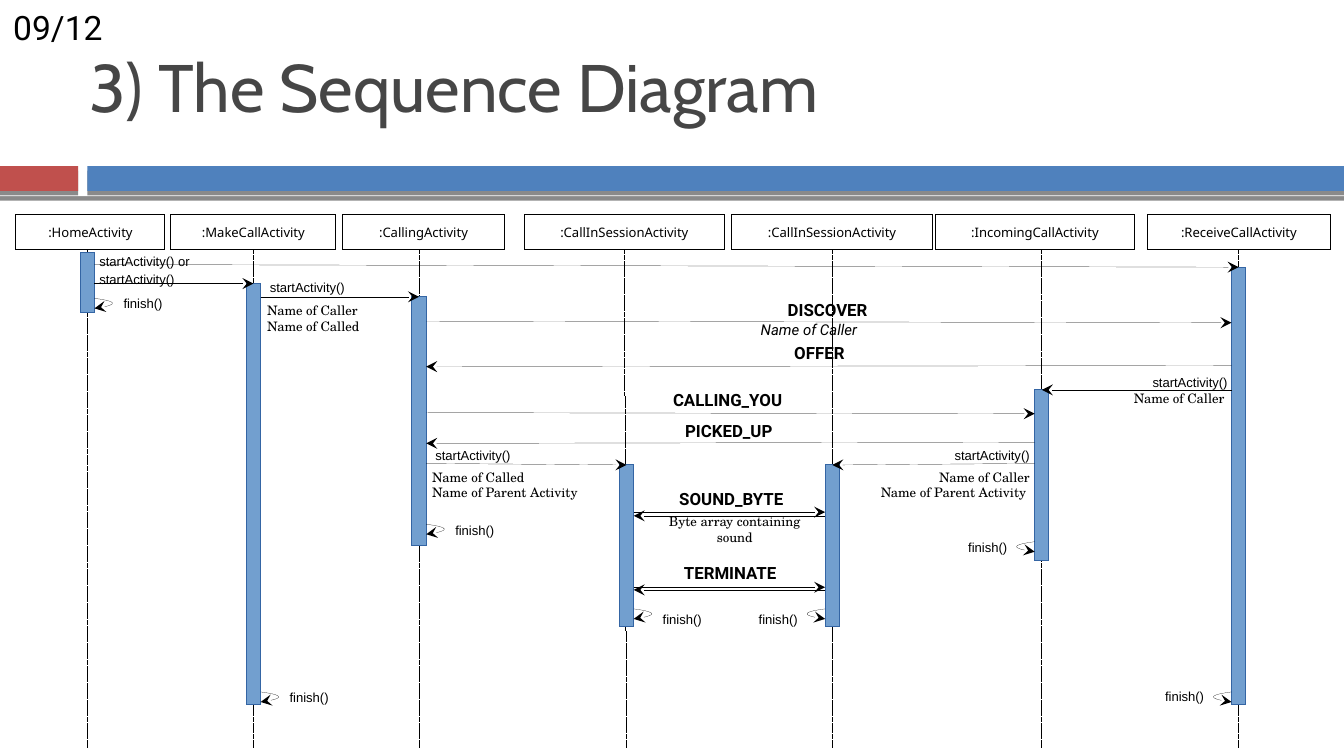
import pptx
import pptx.dml.color
import pptx.enum.dml
import pptx.enum.shapes
import pptx.enum.text
import pptx.oxml
import pptx.oxml.ns
import pptx.util

Cm, Pt = pptx.util.Cm, pptx.util.Pt
RECT = pptx.enum.shapes.MSO_SHAPE.RECTANGLE
ALIGN = pptx.enum.text.PP_ALIGN
ANCHOR = pptx.enum.text.MSO_ANCHOR
AUTO = pptx.enum.text.MSO_AUTO_SIZE

# Lifelines in cm: key, name, header left, header width, axis x, bar top, bar height
HEADER_TOP, HEADER_HEIGHT, LIFELINE_END, BAR_WIDTH = 4.06, 0.66, 14.12, 0.27
LIFELINES = [
    ("home", ":HomeActivity", 0.3, 2.82, 1.65, 4.78, 1.12),
    ("make", ":MakeCallActivity", 3.23, 3.12, 4.79, 5.36, 7.95),
    ("calling", ":CallingActivity", 6.48, 3.05, 7.92, 5.61, 4.7),
    ("caller", ":CallInSessionActivity", 9.91, 3.78, 11.84, 8.79, 3.05),
    ("called", ":CallInSessionActivity", 13.82, 3.81, 15.73, 8.79, 3.05),
    ("incoming", ":IncomingCallActivity", 17.68, 3.76, 19.69, 7.37, 3.23),
    ("receive", ":ReceiveCallActivity", 21.69, 3.45, 23.41, 5.05, 8.26),
]
# Messages that start a bar: sender, receiver, y at the sender
STARTS = [
    ("home", "receive", 5.0), ("home", "make", 5.36), ("make", "calling", 5.61),
    ("receive", "incoming", 7.37), ("calling", "caller", 8.76), ("incoming", "called", 8.76),
]
# Messages between running bars: sender, receiver, y at each end
MESSAGES = [
    ("calling", "receive", 6.07, 6.1), ("receive", "calling", 6.91, 6.93),
    ("calling", "incoming", 7.8, 7.82), ("incoming", "calling", 8.36, 8.38),
    ("caller", "called", 9.68, 9.68), ("called", "caller", 9.75, 9.75),
    ("caller", "called", 11.1, 11.1), ("called", "caller", 11.15, 11.15),
]
# Self calls: bar, side (1 right, -1 left), loop top, label top
SELF_CALLS = [
    ("home", 1, 5.64, 5.46), ("make", 1, 13.08, 12.9), ("calling", 1, 9.91, 9.75),
    ("caller", 1, 11.51, 11.43), ("called", -1, 11.51, 11.43),
    ("incoming", -1, 10.24, 10.08), ("receive", -1, 13.08, 12.88),
]
# Texts: text, left, top, width, alignment
CALL_LABELS = [
    ("startActivity() or", 1.63, 4.67, 3.68, ALIGN.LEFT),
    ("startActivity()", 1.63, 5.0, 3, ALIGN.LEFT),
    ("startActivity()", 4.85, 5.16, 3, ALIGN.LEFT),
    ("startActivity()", 20.45, 6.96, 3, ALIGN.RIGHT),
    ("startActivity()", 7.98, 8.33, 3, ALIGN.LEFT),
    ("startActivity()", 16.71, 8.33, 3, ALIGN.RIGHT),
]
PARAMETERS = [
    ("Name of Caller\nName of Called", 4.8, 5.59, 3.38, ALIGN.LEFT),
    ("Name of Caller", 20.47, 7.26, 2.92, ALIGN.RIGHT),
    ("Name of Called\nName of Parent Activity", 7.92, 8.74, 4.37, ALIGN.LEFT),
    ("Name of Caller\nName of Parent Activity ", 15.34, 8.74, 4.37, ALIGN.RIGHT),
    ("Byte array containing sound", 12.07, 9.58, 3.63, ALIGN.CENTER),
]
SIGNALS = [
    ("DISCOVER", 14.27, 5.54, 2.74, ALIGN.CENTER),
    ("OFFER", 14.48, 6.35, 2.01, ALIGN.CENTER),
    ("CALLING_YOU", 12.47, 7.24, 3.53, ALIGN.LEFT),
    ("PICKED_UP", 12.7, 7.82, 2.95, ALIGN.LEFT),
    ("SOUND_BYTE", 12.5, 9.12, 2.64, ALIGN.CENTER),
    ("TERMINATE", 12.57, 10.52, 2.46, ALIGN.CENTER),
]


def rgb(hex_color):
    return pptx.dml.color.RGBColor.from_string(hex_color)


def write_text(sp, text, *, font, size=7, color="000000", bold=False, italic=False,
               align=ALIGN.LEFT, anchor=ANCHOR.TOP, wrap=True, grow=True, inset=None):
    tf = sp.text_frame
    tf.word_wrap = wrap
    tf.auto_size = AUTO.SHAPE_TO_FIT_TEXT if grow else AUTO.NONE
    tf.vertical_anchor = anchor
    if inset is not None:
        tf.margin_left = tf.margin_top = tf.margin_right = tf.margin_bottom = Cm(inset)
    for i, line in enumerate(text.split("\n")):
        p = tf.paragraphs[0] if i == 0 else tf.add_paragraph()
        p.alignment = align
        r = p.add_run()
        r.text = line
        r.font.name, r.font.size = font, Pt(size)
        r.font.bold, r.font.italic = bold, italic
        r.font.color.rgb = rgb(color)


def add_text(s, text, left, top, width, height, **style):
    sp = s.shapes.add_textbox(Cm(left), Cm(top), Cm(width), Cm(height))
    write_text(sp, text, **style)


def style_line(sp, color="000000", dashed=False, arrow=False):
    sp.line.color.rgb = rgb(color)
    ln = sp.line._get_or_add_ln()
    # Hairline: a zero width must be written out, or the theme's width applies
    ln.set("w", "0")
    if dashed:
        sp.line.dash_style = pptx.enum.dml.MSO_LINE.SQUARE_DOT
        ln.find(pptx.oxml.ns.qn("a:prstDash")).set("val", "sysDash")
    if arrow:
        ln.append(pptx.oxml.parse_xml(
            f'<a:tailEnd {pptx.oxml.ns.nsdecls("a")} type="stealth" w="med" len="med"/>'))


def add_rect(s, left, top, width, height, fill=None, line=None):
    sp = s.shapes.add_shape(RECT, Cm(left), Cm(top), Cm(width), Cm(height))
    sp.shadow.inherit = False
    if fill:
        sp.fill.solid()
        sp.fill.fore_color.rgb = rgb(fill)
    else:
        sp.fill.background()
    if line:
        style_line(sp, line)
    else:
        sp.line.fill.background()
    return sp


def add_band(s, left, top, width, height, fill):
    sp = add_rect(s, left, top, width, height, fill)
    effects = sp._element.spPr.find(pptx.oxml.ns.qn("a:effectLst"))
    effects.append(pptx.oxml.parse_xml(
        f'<a:outerShdw {pptx.oxml.ns.nsdecls("a")} blurRad="0" dist="{Pt(2.4)}" dir="5400000" '
        'rotWithShape="0"><a:srgbClr val="000000"><a:alpha val="45000"/></a:srgbClr></a:outerShdw>'))


def add_line(s, x1, y1, x2, y2, **style):
    cn = s.shapes.add_connector(pptx.enum.shapes.MSO_CONNECTOR.STRAIGHT, x1, y1, x2, y2)
    style_line(cn, **style)
    cn._element.spPr.append(pptx.oxml.parse_xml(f'<a:effectLst {pptx.oxml.ns.nsdecls("a")}/>'))
    return cn


def side_x(bar, side):
    return bar.left + (bar.width if side > 0 else 0)


def facing_x(bar, other):
    return side_x(bar, 1 if other.left > bar.left else -1)


def add_lifeline(s, name, left, width, axis, bar_top, bar_height):
    header = add_rect(s, left, HEADER_TOP, width, HEADER_HEIGHT, line="000000")
    write_text(header, name, font="Noto Sans", align=ALIGN.CENTER, anchor=ANCHOR.MIDDLE)
    cn = add_line(s, Cm(axis), Cm(HEADER_TOP + HEADER_HEIGHT), Cm(axis), Cm(LIFELINE_END), dashed=True)
    if abs(left + width / 2 - axis) < 0.05:
        cn.begin_connect(header, 2)
    return add_rect(s, axis - BAR_WIDTH / 2, bar_top, BAR_WIDTH, bar_height, "729FCF", "3465A4")


def add_self_call(s, bar, side, top, label_top):
    x, y = side_x(bar, side), Cm(top)
    # Curve that leaves the bar and bends back to it
    points = []
    for i in range(1, 17):
        t = i / 16
        bulge = 3 * t * (1 - t) ** 2
        points.append((x + side * Cm(0.77 * bulge), y + Cm(0.1 * bulge + 0.19 * t * t * (3 - 2 * t))))
    builder = s.shapes.build_freeform(x, y)
    builder.add_line_segments(points, close=False)
    loop = builder.convert_to_shape()
    loop.shadow.inherit = False
    loop.fill.background()
    style_line(loop, arrow=True)
    edge, width = x / Cm(1), 1.75
    left = edge + 0.3 if side > 0 else edge - 0.27 - width
    add_text(s, "finish()", left, label_top, width, 0.58, font="Arial",
             align=ALIGN.LEFT if side > 0 else ALIGN.RIGHT)


def main():
    prs = pptx.Presentation()
    prs.slide_width, prs.slide_height = Cm(25.4), Cm(14.29)
    s = prs.slides.add_slide(prs.slide_layouts[6])

    # Title and bands
    add_band(s, 0, 3.05, 25.4, 0.66, "FFFFFF")
    add_band(s, 0, 3.14, 1.48, 0.47, "C0504D")
    add_band(s, 1.65, 3.14, 23.75, 0.47, "4F81BD")
    add_text(s, "3) The Sequence Diagram", 1.7, 0.23, 22.63, 2.79, font="Cabin", size=36,
             color="464646", anchor=ANCHOR.MIDDLE, grow=False, inset=0)
    add_text(s, "09/12", 0, 0, 2.54, 1.12, font="Roboto", size=18)

    # Lifelines with their activation bars
    bars = {key: add_lifeline(s, *lifeline) for key, *lifeline in LIFELINES}

    # Messages
    for sender, receiver, y in STARTS:
        a, b = bars[sender], bars[receiver]
        cn = add_line(s, facing_x(a, b), Cm(y), b.left, b.top, arrow=True)
        cn.end_connect(b, 0)
    for sender, receiver, y1, y2 in MESSAGES:
        a, b = bars[sender], bars[receiver]
        add_line(s, facing_x(a, b), Cm(y1), facing_x(b, a), Cm(y2), arrow=True)
    for key, *call in SELF_CALLS:
        add_self_call(s, bars[key], *call)

    # Message texts
    for text, left, top, width, align in CALL_LABELS:
        add_text(s, text, left, top, width, 0.58, font="Arial", align=align)
    for text, left, top, width, align in PARAMETERS:
        height = 1.02 if "\n" in text else 0.66
        add_text(s, text, left, top, width, height, font="TeX Gyre Schola", align=align)
    for text, left, top, width, align in SIGNALS:
        add_text(s, text, left, top, width, 0.81, font="Roboto", size=9, bold=True,
                 align=align, wrap=False)
    add_text(s, "Name of Caller", 13.74, 5.94, 3.1, 0.71, font="Roboto", size=8,
             italic=True, align=ALIGN.CENTER)

    prs.save("out.pptx")


if __name__ == "__main__":
    main()
